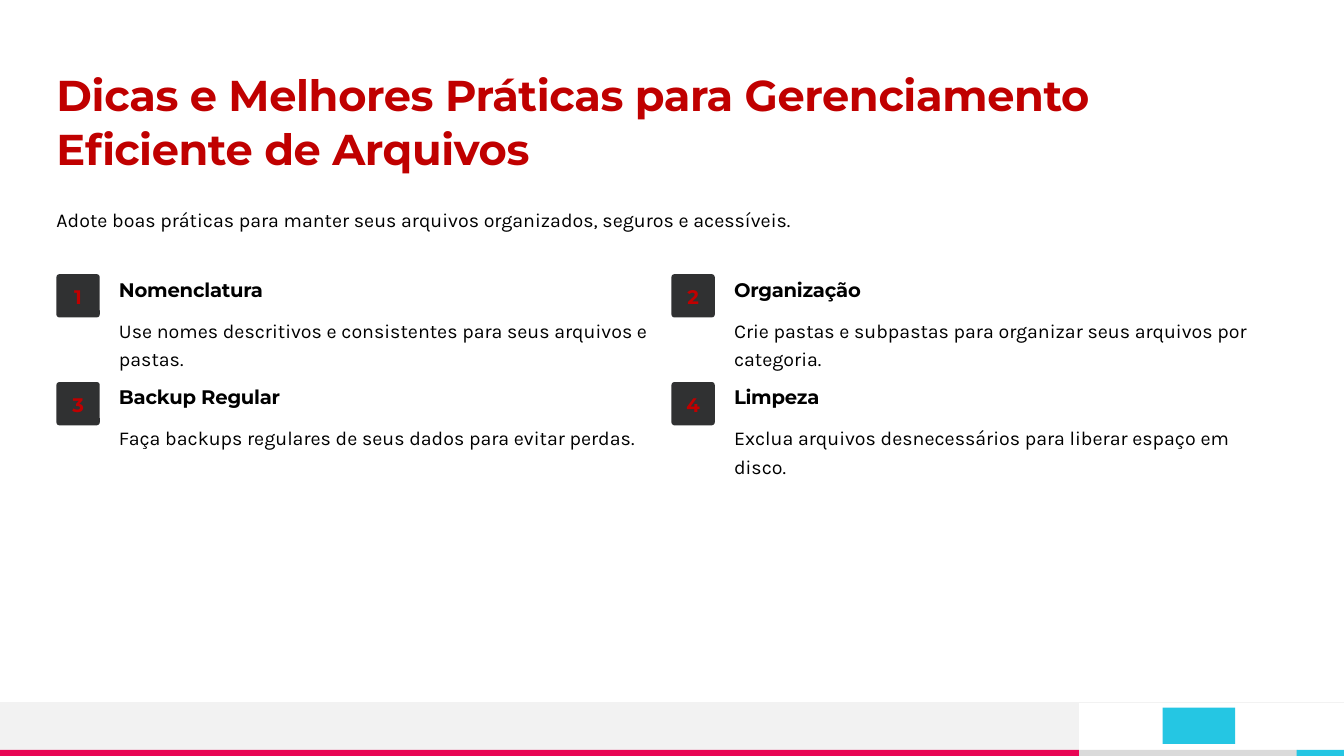
from dataclasses import dataclass

from lxml.etree import SubElement
from pptx import Presentation
from pptx.dml.color import RGBColor
from pptx.enum.shapes import MSO_CONNECTOR, MSO_SHAPE
from pptx.enum.text import PP_ALIGN
from pptx.oxml.ns import qn
from pptx.shapes.autoshape import Shape
from pptx.slide import Slide
from pptx.util import Inches, Pt

RED = RGBColor(0xC0, 0x00, 0x00)
BLACK = RGBColor(0x00, 0x00, 0x00)
DARK = RGBColor(0x30, 0x31, 0x32)
PALE = RGBColor(0xF2, 0xF2, 0xF2)
GRAY = RGBColor(0xDA, 0xDA, 0xDA)
PINK = RGBColor(0xE8, 0x05, 0x54)
CYAN = RGBColor(0x25, 0xC6, 0xE3)

LEFT = 0.56
WIDE = 12.01
BADGE = 0.43
INDENT = 0.62
TOP = 2.72
COL_STEP = 6.1
ROW_STEP = 1.07


@dataclass(frozen=True)
class Style:
    font: str
    size: float
    color: RGBColor
    line: float
    bold: bool = False
    track: int = 0
    align: PP_ALIGN = PP_ALIGN.LEFT
    wrap: bool = False


@dataclass(frozen=True)
class Band:
    left: float
    top: float
    width: float
    height: float
    color: RGBColor


@dataclass(frozen=True)
class Tip:
    head: str
    body: str


TITLE = Style("Montserrat", 30.8, RED, 38.8, True, -30, wrap=True)
BODY = Style("Karla", 14, BLACK, 20.4)
HEAD = Style("Montserrat", 14, BLACK, 19.2, True, -20)
DIGIT = Style("Montserrat", 14, RED, 18.3, True, -20, PP_ALIGN.CENTER)

BANDS = [
    Band(10.7, 7.44, 2.17, 0.06, GRAY),
    Band(0, 6.97, 10.7, 0.47, PALE),
    Band(11.53, 7.02, 0.72, 0.36, CYAN),
    Band(0, 7.44, 10.7, 0.06, PINK),
    Band(12.86, 7.44, 0.47, 0.06, CYAN),
]

TIPS = [
    Tip("Nomenclatura", "Use nomes descritivos e consistentes para seus arquivos e pastas."),
    Tip("Organização", "Crie pastas e subpastas para organizar seus arquivos por categoria."),
    Tip("Backup Regular", "Faça backups regulares de seus dados para evitar perdas."),
    Tip("Limpeza", "Exclua arquivos desnecessários para liberar espaço em disco."),
]


def add_block(slide: Slide, kind: MSO_SHAPE, band: Band) -> Shape:
    block = slide.shapes.add_shape(
        kind, Inches(band.left), Inches(band.top), Inches(band.width), Inches(band.height)
    )
    block.shadow.inherit = False
    block.fill.solid()
    block.fill.fore_color.rgb = band.color
    block.line.fill.background()
    return block


def add_text(
    slide: Slide, text: str, style: Style, left: float, top: float, width: float, height: float
) -> None:
    box = slide.shapes.add_textbox(Inches(left), Inches(top), Inches(width), Inches(height))
    frame = box.text_frame
    frame.margin_left = frame.margin_right = frame.margin_top = frame.margin_bottom = 0
    frame.word_wrap = style.wrap
    para = frame.paragraphs[0]
    para.alignment = style.align
    para.line_spacing = Pt(style.line)
    para.font.name = style.font
    para.font.size = Pt(style.size)
    para.font.bold = style.bold
    para.font.color.rgb = style.color
    run = para.add_run()
    run.text = text
    if style.track:
        run._r.get_or_add_rPr().set("spc", str(style.track))


def add_rule(slide: Slide) -> None:
    rule = slide.shapes.add_connector(
        MSO_CONNECTOR.STRAIGHT, Inches(13.33), Inches(6.97), Inches(0), Inches(6.97)
    )
    rule.line.color.rgb = PALE
    rule.line.width = Pt(0.5)
    SubElement(rule._element.spPr, qn("a:effectLst"))


def add_tip(slide: Slide, index: int, tip: Tip) -> None:
    row, col = divmod(index, 2)
    left = LEFT + col * COL_STEP
    top = TOP + row * ROW_STEP
    badge = add_block(slide, MSO_SHAPE.ROUNDED_RECTANGLE, Band(left, top, BADGE, BADGE, DARK))
    badge.adjustments[0] = 0.07
    add_text(slide, str(index + 1), DIGIT, left, top + 0.09, BADGE, 0.26)
    add_text(slide, tip.head, HEAD, left + INDENT, top, 2.15, 0.27)
    add_text(slide, tip.body, BODY, left + INDENT, top + 0.39, 5.29, 0.28)


def main() -> None:
    deck = Presentation()
    deck.slide_width = Inches(13.33)
    deck.slide_height = Inches(7.5)
    slide = deck.slides.add_slide(deck.slide_layouts[6])
    for band in BANDS:
        add_block(slide, MSO_SHAPE.RECTANGLE, band)
    add_rule(slide)
    add_text(
        slide,
        "Dicas e Melhores Práticas para Gerenciamento Eficiente de Arquivos",
        TITLE, LEFT, 0.65, WIDE, 1.08,
    )
    add_text(
        slide,
        "Adote boas práticas para manter seus arquivos organizados, seguros e acessíveis.",
        BODY, LEFT, 2.01, WIDE, 0.28,
    )
    for index, tip in enumerate(TIPS):
        add_tip(slide, index, tip)
    deck.save("out.pptx")


if __name__ == "__main__":
    main()
